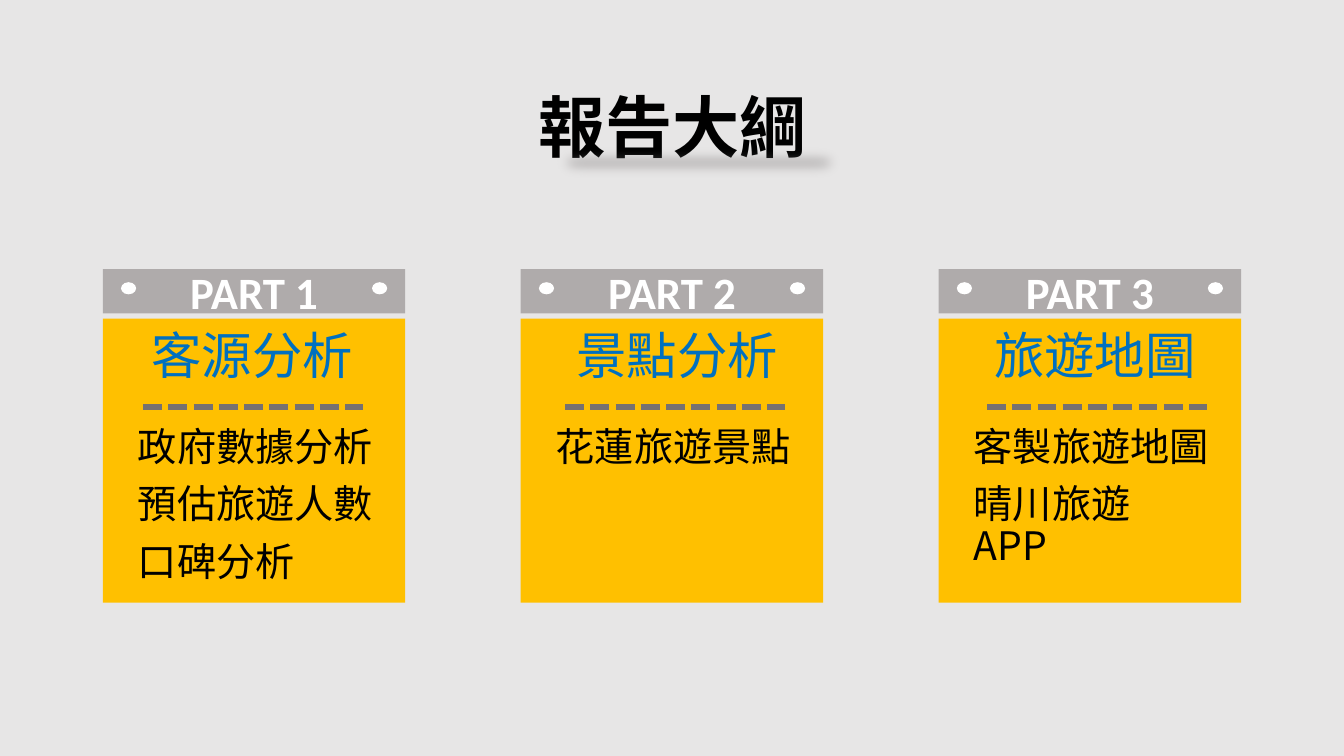
from lxml import etree
from pptx import Presentation
from pptx.dml.color import RGBColor
from pptx.enum.dml import MSO_LINE
from pptx.enum.shapes import MSO_CONNECTOR, MSO_SHAPE
from pptx.enum.text import MSO_ANCHOR, PP_ALIGN
from pptx.oxml.ns import qn
from pptx.util import Inches, Pt

RECTANGLE, OVAL = MSO_SHAPE.RECTANGLE, MSO_SHAPE.OVAL
STRAIGHT = MSO_CONNECTOR.STRAIGHT
DASH = MSO_LINE.SQUARE_DOT
LEFT, CENTER = PP_ALIGN.LEFT, PP_ALIGN.CENTER
TOP, MIDDLE = MSO_ANCHOR.TOP, MSO_ANCHOR.MIDDLE

COLORS = {
    "background": "E7E6E6",
    "card": "FFC000",
    "tab": "AFABAB",
    "white": "FFFFFF",
    "rule": "767171",
    "heading": "0070C0",
    "text": "000000",
}
HEADING_FONT = "Noto Sans CJK SC"
ITEM_FONT = "Noto Sans CJK TC"
TAB_FONT = "Calibri"
CJK_SPACING = 0.88

CARD_LEFT, CARD_TOP, CARD_STEP = 1.02, 2.67, 4.145
CARD_WIDTH, CARD_HEIGHT, TAB_HEIGHT = 3, 3.31, 0.44
ITEM_STEP = 0.57
CARDS = [
    ("PART 1", "客源分析", ["政府數據分析", "預估旅遊人數", "口碑分析"]),
    ("PART 2", "景點分析", ["花蓮旅遊景點"]),
    ("PART 3", "旅遊地圖", ["客製旅遊地圖", "晴川旅遊APP"]),
]


def color(name):
    """Return the named colour."""
    return RGBColor.from_string(COLORS[name])


def write(shape, text, size, font, color_name, bold=False, align=CENTER, anchor=TOP, spacing=CJK_SPACING):
    """Write one formatted run into a shape."""
    frame = shape.text_frame
    frame.word_wrap = True
    frame.vertical_anchor = anchor
    paragraph = frame.paragraphs[0]
    paragraph.alignment = align
    paragraph.line_spacing = spacing
    run = paragraph.add_run()
    run.text = text
    run.font.size = Pt(size)
    run.font.name = font
    run.font.bold = bold
    run.font.color.rgb = color(color_name)
    east_asian = etree.SubElement(run.font._element, qn("a:ea"))
    east_asian.set("typeface", font)


def add_block(shapes, kind, left, top, width, height, fill):
    """Add a plain filled shape without line or shadow."""
    shape = shapes.add_shape(kind, Inches(left), Inches(top), Inches(width), Inches(height))
    shape.fill.solid()
    shape.fill.fore_color.rgb = color(fill)
    shape.line.fill.background()
    shape.shadow.inherit = False
    return shape


def add_label(slide, left, top, width, height, text, size, font, color_name, align):
    """Add a text box with one line of text."""
    box = slide.shapes.add_textbox(Inches(left), Inches(top), Inches(width), Inches(height))
    write(box, text, size, font, color_name, align=align)


def add_rule(slide, left, top, width):
    """Add a dashed horizontal rule."""
    rule = slide.shapes.add_connector(STRAIGHT, Inches(left), Inches(top), Inches(left + width), Inches(top))
    rule.line.color.rgb = color("rule")
    rule.line.width = Pt(4.5)
    rule.line.dash_style = DASH
    etree.SubElement(rule._element.spPr, qn("a:effectLst"))


def add_title(slide, left, top, width, height):
    """Place the title and the soft shade across its foot."""
    title = slide.shapes.title
    title.left, title.top = Inches(left), Inches(top)
    title.width, title.height = Inches(width), Inches(height)
    write(title, "報告大綱", 48, HEADING_FONT, "text", bold=True, anchor=TOP)

    shade = add_block(slide.shapes, RECTANGLE, left + 0.26, top + 0.49, width, 0.44, "rule")
    properties = shape_properties = shade._element.spPr
    alpha = etree.SubElement(properties.find(".//" + qn("a:srgbClr")), qn("a:alpha"))
    alpha.set("val", "46000")
    soft_edge = etree.SubElement(shape_properties.find(qn("a:effectLst")), qn("a:softEdge"))
    soft_edge.set("rad", str(Pt(10)))


def add_card(slide, left, top, width, height, rule_shift, heading_shift, card):
    """Add a calendar card with its tab, heading and items."""
    part, heading, items = card
    group = slide.shapes.add_group_shape()
    add_block(group.shapes, RECTANGLE, left, top + 0.49, width, height - 0.49, "card")
    tab = add_block(group.shapes, RECTANGLE, left, top, width, TAB_HEIGHT, "tab")
    write(tab, part, 32, TAB_FONT, "white", bold=True, anchor=MIDDLE, spacing=1.0)
    for hole_left in (left + 0.18, left + width - 0.33):
        add_block(group.shapes, OVAL, hole_left, top + 0.13, 0.15, 0.12, "white")

    add_rule(slide, left + 0.4 + rule_shift, top + 1.37, 2.18)
    add_label(slide, left + 0.18 + heading_shift, top + 0.57, 2.6, 0.71, heading, 36, HEADING_FONT, "heading", CENTER)
    for row, item in enumerate(items):
        item_width = 2.2 if item.endswith("APP") else 2.57
        add_label(slide, left + 0.25, top + 1.53 + row * ITEM_STEP, item_width, ITEM_STEP, item, 28, ITEM_FONT, "text", LEFT)


def build_outline(presentation):
    """Build the report outline slide."""
    slide = presentation.slides.add_slide(presentation.slide_layouts[5])
    slide.background.fill.solid()
    slide.background.fill.fore_color.rgb = color("background")
    for index, card in enumerate(CARDS):
        heading_shift = 0.07 if index else 0
        add_card(slide, CARD_LEFT + index * CARD_STEP, CARD_TOP, CARD_WIDTH, CARD_HEIGHT, index * 0.04, heading_shift, card)
    add_title(slide, 5.17, 0.9, 3, 0.91)


def main():
    """Create and save the presentation."""
    presentation = Presentation()
    presentation.slide_width = Inches(13.33)
    presentation.slide_height = Inches(7.5)
    build_outline(presentation)
    presentation.save("out.pptx")


if __name__ == "__main__":
    main()
